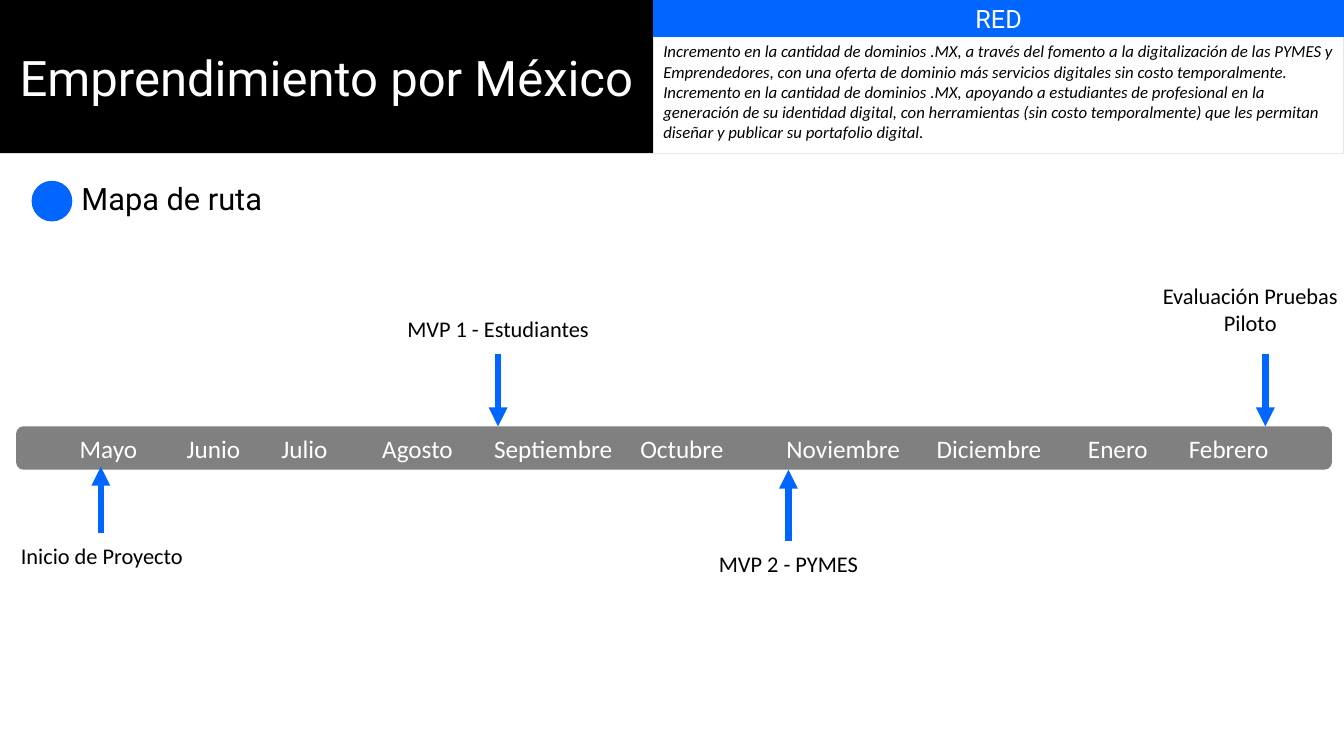
from lxml.etree import SubElement
from pptx import Presentation
from pptx.dml.color import RGBColor
from pptx.enum.shapes import MSO_CONNECTOR, MSO_SHAPE
from pptx.enum.text import MSO_ANCHOR, MSO_AUTO_SIZE, PP_ALIGN
from pptx.oxml.ns import qn
from pptx.util import Inches, Pt

WIDTH, HEIGHT = 13.33, 7.5
TITLE_WIDTH, HEADER_HEIGHT, BAND_HEIGHT = 6.48, 1.52, 0.36
BAR_LEFT, BAR_TOP, BAR_WIDTH, BAR_HEIGHT = 0.16, 4.23, 13.05, 0.43
BAR_BOTTOM = BAR_TOP + BAR_HEIGHT
CORNER_INSET = 0.02
LABEL_WIDTH, LABEL_LINE = 2.02, 0.37
BLUE, BLACK, WHITE, GREY, PALE = "0066FF", "000000", "FFFFFF", "808080", "E7E6E6"

GOALS = [
    "Incremento en la cantidad de dominios .MX, a través del fomento a la "
    "digitalización de las PYMES y Emprendedores, con una oferta de dominio más "
    "servicios digitales sin costo temporalmente.",
    "Incremento en la cantidad de dominios .MX, apoyando a estudiantes de "
    "profesional en la generación de su identidad digital, con herramientas (sin "
    "costo temporalmente) que les permitan diseñar y publicar su portafolio digital.",
]
# Month and the left edge of its name
MONTHS = {
    "Mayo": 0.79, "Junio": 1.85, "Julio": 2.79, "Agosto": 3.79, "Septiembre": 4.9,
    "Octubre": 6.35, "Noviembre": 7.8, "Diciembre": 9.29, "Enero": 10.79,
    "Febrero": 11.79,
}
# Label, label left, label top, label lines, arrow x, arrow start, arrow tip
MILESTONES = [
    ("Inicio de Proyecto", 0, 5.33, 1, 1, 5.29, 4.63),
    ("MVP 1 - Estudiantes", 3.93, 3.08, 1, 4.94, 3.51, BAR_TOP),
    ("MVP 2 - PYMES", 6.81, 5.41, 1, 7.82, 5.37, BAR_BOTTOM),
    ("Evaluación Pruebas Piloto", 11.39, 2.75, 2, 12.55, 3.51, BAR_TOP),
]


def color(hex_value):
    return RGBColor.from_string(hex_value)


def write(shape, lines, size, font, ink, align=PP_ALIGN.CENTER,
          anchor=MSO_ANCHOR.MIDDLE, italic=False):
    frame = shape.text_frame
    frame.word_wrap = True
    frame.vertical_anchor = anchor
    frame.text = "\n".join(lines)
    for paragraph in frame.paragraphs:
        paragraph.alignment = align
        paragraph.font.size = Pt(size)
        paragraph.font.name = font
        paragraph.font.color.rgb = color(ink)
        paragraph.font.italic = italic
    return frame


def add_block(slide, preset, box, fill=None, outline=None, outline_width=1):
    block = slide.shapes.add_shape(preset, *map(Inches, box))
    block.shadow.inherit = False
    if fill:
        block.fill.solid()
        block.fill.fore_color.rgb = color(fill)
    else:
        block.fill.background()
    if outline:
        block.line.color.rgb = color(outline)
        block.line.width = Pt(outline_width)
    else:
        block.line.fill.background()
    return block


def add_label(slide, box, text, size, font, align):
    label = slide.shapes.add_textbox(*map(Inches, box))
    return write(label, [text], size, font, BLACK, align, MSO_ANCHOR.TOP)


def add_arrow(slide, x, start, tip):
    arrow = slide.shapes.add_connector(
        MSO_CONNECTOR.STRAIGHT, Inches(x), Inches(start), Inches(x), Inches(tip))
    arrow.line.color.rgb = color(BLUE)
    arrow.line.width = Pt(4.5)
    SubElement(arrow.line._get_or_add_ln(), qn("a:tailEnd"), type="triangle")
    SubElement(arrow._element.spPr, qn("a:effectLst"))


def add_header(slide):
    right_width = WIDTH - TITLE_WIDTH
    title = add_block(slide, MSO_SHAPE.RECTANGLE,
                      (0, 0, TITLE_WIDTH, HEADER_HEIGHT), BLACK)
    write(title, ["Emprendimiento por México"], 35, "Roboto", WHITE)
    goals = add_block(slide, MSO_SHAPE.RECTANGLE,
                      (TITLE_WIDTH, BAND_HEIGHT, right_width,
                       HEADER_HEIGHT - BAND_HEIGHT), None, PALE, 0.75)
    write(goals, GOALS, 12, "Calibri", BLACK, PP_ALIGN.LEFT, MSO_ANCHOR.TOP, True)
    band = add_block(slide, MSO_SHAPE.RECTANGLE,
                     (TITLE_WIDTH, 0, right_width, BAND_HEIGHT), BLUE, BLUE)
    write(band, ["RED"], 18, "Roboto", WHITE)


def add_month_bar(slide):
    """Draw the bar with one line of months, set apart by tab stops."""
    bar = add_block(slide, MSO_SHAPE.ROUNDED_RECTANGLE,
                    (BAR_LEFT, BAR_TOP, BAR_WIDTH, BAR_HEIGHT), GREY)
    frame = write(bar, ["\t".join(MONTHS)], 18, "Calibri", WHITE, PP_ALIGN.LEFT)
    first, *others = MONTHS.values()
    frame.margin_left = Inches(first - BAR_LEFT - CORNER_INSET)
    frame.margin_right = 0
    properties = frame.paragraphs[0]._p.get_or_add_pPr()
    stops = properties.makeelement(qn("a:tabLst"))
    for left in others:
        SubElement(stops, qn("a:tab"), pos=str(Inches(left - first)), algn="l")
    properties.find(qn("a:defRPr")).addprevious(stops)


def add_milestone(slide, text, left, top, lines, x, start, tip):
    frame = add_label(slide, (left, top, LABEL_WIDTH, LABEL_LINE * lines), text,
                      16, "Calibri", PP_ALIGN.CENTER)
    frame.auto_size = MSO_AUTO_SIZE.SHAPE_TO_FIT_TEXT
    add_arrow(slide, x, start, tip)


def main():
    deck = Presentation()
    deck.slide_width, deck.slide_height = Inches(WIDTH), Inches(HEIGHT)
    slide = deck.slides.add_slide(deck.slide_layouts[6])
    add_header(slide)
    add_label(slide, (0.71, 1.73, 3.35, 0.53), "Mapa de ruta", 22, "Roboto",
              PP_ALIGN.LEFT)
    add_block(slide, MSO_SHAPE.OVAL, (0.32, 1.8, 0.39, 0.39), BLUE, BLUE)
    add_month_bar(slide)
    for milestone in MILESTONES:
        add_milestone(slide, *milestone)
    deck.save("out.pptx")


if __name__ == "__main__":
    main()
